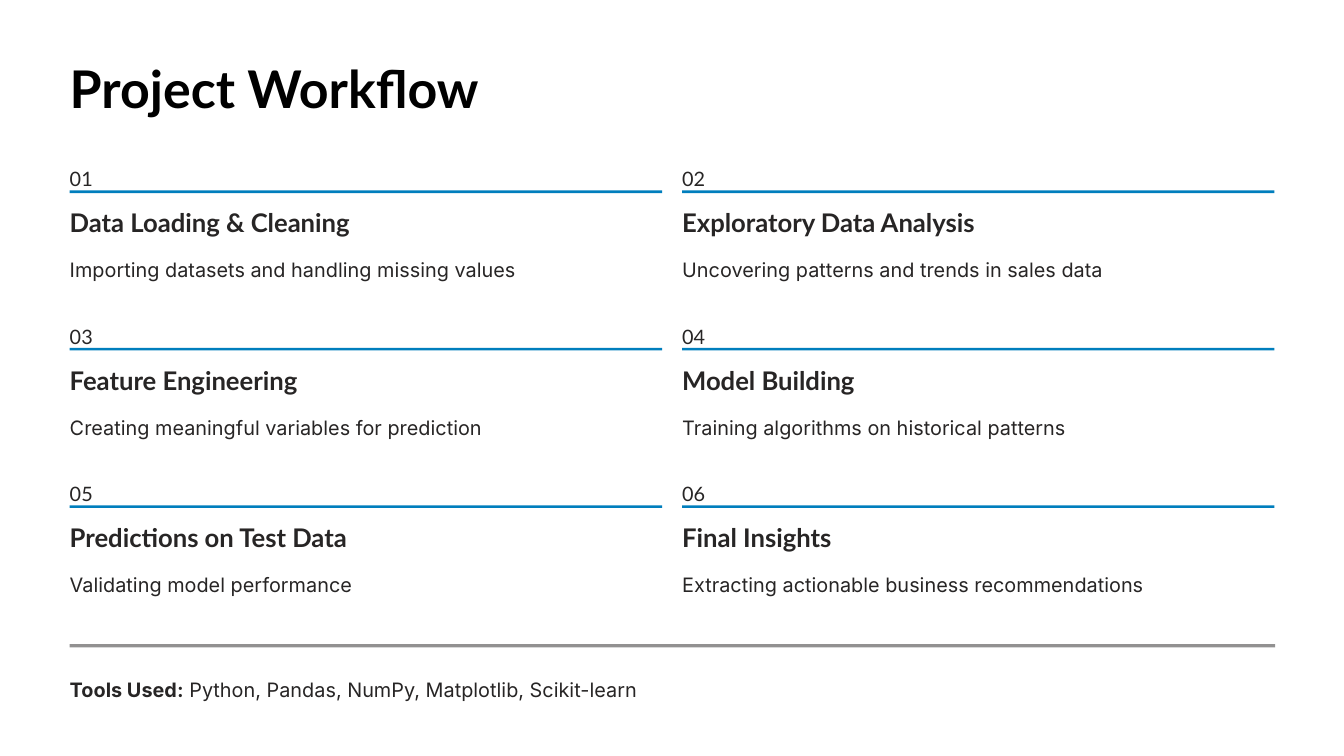
"""Build the project workflow slide."""
from dataclasses import dataclass

from pptx import Presentation
from pptx import util as u
from pptx.dml.color import RGBColor
from pptx.enum import shapes
from pptx.oxml.ns import qn
from lxml import etree


@dataclass(frozen=True)
class Style:
    """Hold the font, size, line height, colour and weight of a text."""
    font: str
    size: float
    line: float
    color: str
    bold: bool = False


@dataclass(frozen=True)
class Theme:
    """Hold the slide's colours and text styles."""
    ink: str = "272525"
    blue: str = "007EBD"
    white: str = "FFFFFF"
    title: Style = Style("Lato", 44.5, 55.5, "000000", True)
    number: Style = Style("Lato", 17, 27, ink)
    head: Style = Style("Lato", 22, 27.5, ink, True)
    body: Style = Style("Inter", 17, 27, ink)


THEME = Theme()
WIDTH, HEIGHT = 40.64, 22.86
LEFT, TOP = 2.11, 4.82
COL_STEP, ROW_STEP = 18.52, 4.76
COL_WIDTH, FULL_WIDTH = 17.91, 36.45
STEPS = [
    ("Data Loading & Cleaning", "Importing datasets and handling missing values"),
    ("Exploratory Data Analysis", "Uncovering patterns and trends in sales data"),
    ("Feature Engineering", "Creating meaningful variables for prediction"),
    ("Model Building", "Training algorithms on historical patterns"),
    ("Predictions on Test Data", "Validating model performance"),
    ("Final Insights", "Extracting actionable business recommendations"),
]


def add_text(slide, words, style, left, top, width, height):
    """Add one line of text and return its paragraph."""
    box = slide.shapes.add_textbox(u.Cm(left), u.Cm(top), u.Cm(width), u.Cm(height))
    frame = box.text_frame
    frame.word_wrap = False
    frame.margin_left = frame.margin_right = 0
    frame.margin_top = frame.margin_bottom = 0
    para = frame.paragraphs[0]
    para.line_spacing = u.Pt(style.line)
    para.add_run().text = words
    font = para.font
    font.name, font.size, font.bold = style.font, u.Pt(style.size), style.bold
    font.color.rgb = RGBColor.from_string(style.color)
    return para


def add_bar(slide, color, left, top, width, height, alpha=100):
    """Add a filled rectangle with the given opacity in percent."""
    bar = slide.shapes.add_shape(
        shapes.MSO_SHAPE.RECTANGLE, u.Cm(left), u.Cm(top), u.Cm(width), u.Cm(height))
    bar.shadow.inherit = False
    bar.line.fill.background()
    bar.fill.solid()
    bar.fill.fore_color.rgb = RGBColor.from_string(color)
    if alpha < 100:
        tint = bar.fill._xPr.find(qn("a:solidFill"))[0]
        etree.SubElement(tint, qn("a:alpha"), val=str(alpha * 1000))


def add_step(slide, index, head, body):
    """Add one numbered step at its place in the two-column grid."""
    row, col = divmod(index, 2)
    left, top = LEFT + col * COL_STEP, TOP + row * ROW_STEP
    add_text(slide, f"{index + 1:02}", THEME.number, left, top, 0.75, 0.76)
    add_bar(slide, THEME.blue, left, top + 0.94, COL_WIDTH, 0.08)
    add_text(slide, head, THEME.head, left, top + 1.41, 9.35, 0.99)
    add_text(slide, body, THEME.body, left, top + 2.75, COL_WIDTH, 0.97)


def add_tools(slide):
    """Add the closing rule and the list of tools."""
    add_bar(slide, THEME.ink, LEFT, 19.48, FULL_WIDTH, 0.1, alpha=50)
    para = add_text(slide, "Tools Used:", THEME.body, LEFT, 20.25, FULL_WIDTH, 0.97)
    para.runs[0].font.bold = True
    para.add_run().text = " Python, Pandas, NumPy, Matplotlib, Scikit-learn"


def main():
    """Build and save the slide."""
    deck = Presentation()
    deck.slide_width, deck.slide_height = u.Cm(WIDTH), u.Cm(HEIGHT)
    slide = deck.slides.add_slide(deck.slide_layouts[6])
    add_bar(slide, THEME.white, 0, 0, WIDTH, HEIGHT, alpha=95)
    add_text(slide, "Project Workflow", THEME.title, LEFT, 1.65, 15.77, 1.98)
    for index, (head, body) in enumerate(STEPS):
        add_step(slide, index, head, body)
    add_tools(slide)
    deck.save("out.pptx")


if __name__ == "__main__":
    main()
